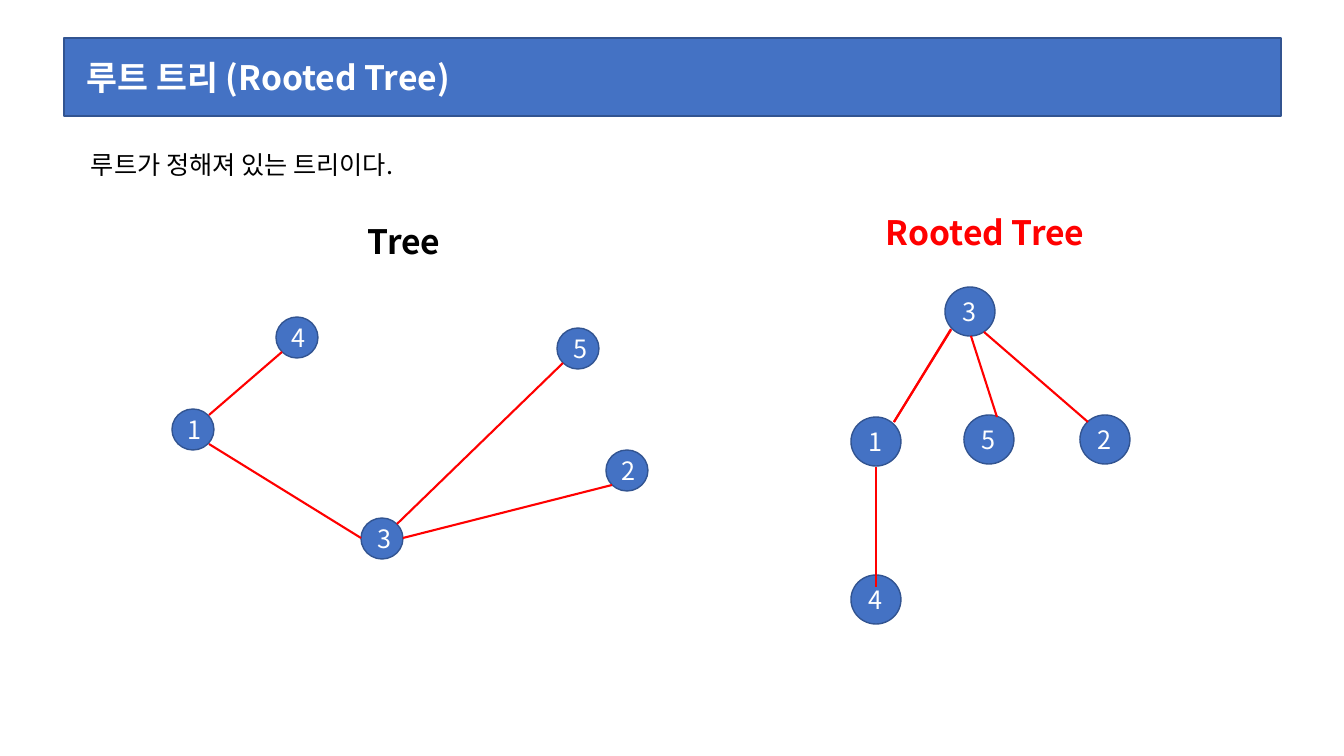
from lxml.etree import SubElement
from pptx import Presentation
from pptx.dml.color import RGBColor
from pptx.enum.shapes import MSO_CONNECTOR, MSO_SHAPE
from pptx.enum.text import MSO_ANCHOR, PP_ALIGN
from pptx.oxml.ns import qn
from pptx.util import Pt

PAGE_WIDTH, PAGE_HEIGHT = 1344, 756
EMU_PER_PIXEL = 12192000 / PAGE_WIDTH
FONT = "Noto Sans CJK KR"
BLUE, NAVY, RED, WHITE, BLACK = "4472C4", "325491", "FF0000", "FFFFFF", "000000"

TREE_SIZE = (42, 41)
TREE_NODES = {
    "1": (172, 409),
    "4": (276, 317),
    "3": (361, 518),
    "2": (606, 450),
    "5": (557, 328),
}
TREE_EDGES = [
    (209, 415, 282, 352),
    (563, 363, 397, 524),
    (403, 538, 612, 485),
    (209, 444, 361, 538),
]
ROOTED_SIZE = (50, 49)
ROOTED_NODES = {
    "4": (851, 575),
    "3": (945, 287),
    "2": (1080, 415),
    "5": (964, 415),
    "1": (851, 417),
}
ROOTED_EDGES = [
    (997, 417, 971, 336),
    (876, 467, 876, 587),
    (984, 332, 1088, 422),
    (951, 330, 894, 422),
    (951, 329, 894, 422),
]


def px(length):
    return round(length * EMU_PER_PIXEL)


def color(code):
    return RGBColor.from_string(code)


def write(box, text, size=18, fill=WHITE, bold=False, align=PP_ALIGN.LEFT,
          anchor=MSO_ANCHOR.TOP):
    frame = box.text_frame
    frame.word_wrap = True
    frame.vertical_anchor = anchor
    para = frame.paragraphs[0]
    para.alignment = align
    span = para.add_run()
    span.text = text
    span.font.name = FONT
    span.font.size = Pt(size)
    span.font.bold = bold
    span.font.color.rgb = color(fill)
    SubElement(span.font._element, qn("a:ea"), typeface=FONT)


def add_block(page, kind, left, top, width, height):
    block = page.shapes.add_shape(kind, px(left), px(top), px(width), px(height))
    block.shadow.inherit = False
    block.fill.solid()
    block.fill.fore_color.rgb = color(BLUE)
    block.line.color.rgb = color(NAVY)
    block.line.width = Pt(1)
    return block


def add_label(page, text, left, top, width, height, **style):
    box = page.shapes.add_textbox(px(left), px(top), px(width), px(height))
    write(box, text, **style)


def add_edge(page, *ends):
    edge = page.shapes.add_connector(MSO_CONNECTOR.STRAIGHT, *map(px, ends))
    edge.line.color.rgb = color(RED)
    edge.line.width = Pt(1.5)
    SubElement(edge._element.spPr, qn("a:effectLst"))


def add_tree(page, nodes, size, edges):
    for number, corner in nodes.items():
        node = add_block(page, MSO_SHAPE.OVAL, *corner, *size)
        write(node, number, align=PP_ALIGN.CENTER, anchor=MSO_ANCHOR.MIDDLE)
    for ends in edges:
        add_edge(page, *ends)


def main():
    deck = Presentation()
    deck.slide_width, deck.slide_height = px(PAGE_WIDTH), px(PAGE_HEIGHT)
    page = deck.slides.add_slide(deck.slide_layouts[6])

    banner = add_block(page, MSO_SHAPE.RECTANGLE, 64, 38, 1217, 78)
    banner.text_frame.margin_left = px(23)
    write(banner, "루트 트리 (Rooted Tree)", size=24, bold=True,
          anchor=MSO_ANCHOR.MIDDLE)
    add_label(page, "루트가 정해져 있는 트리이다.", 81, 144, 1008, 40, fill=BLACK)

    add_tree(page, TREE_NODES, TREE_SIZE, TREE_EDGES)
    add_tree(page, ROOTED_NODES, ROOTED_SIZE, ROOTED_EDGES)
    add_label(page, "Tree", 358, 216, 220, 50, size=24, fill=BLACK, bold=True)
    add_label(page, "Rooted Tree", 876, 207, 220, 50, size=24, fill=RED, bold=True)

    deck.save("out.pptx")


main()
